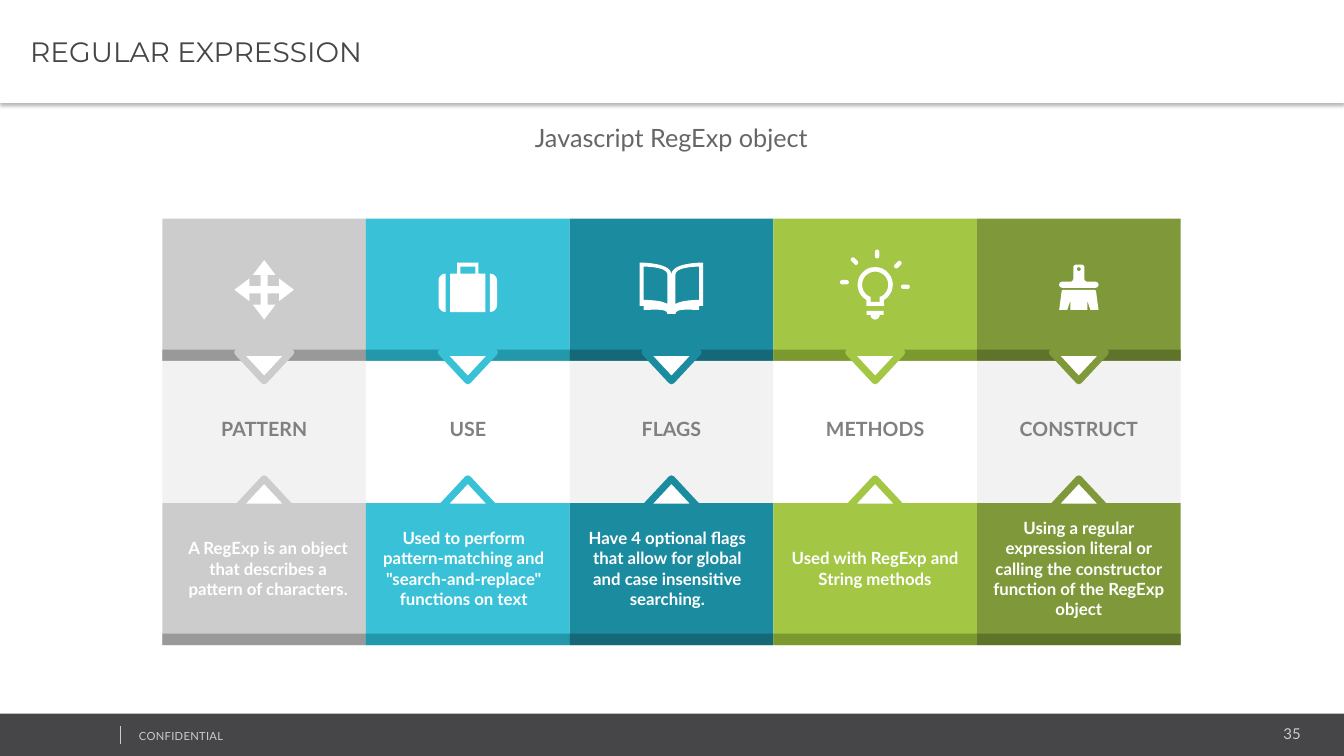
import math
from dataclasses import dataclass
from typing import NamedTuple

import pptx
import pptx.dml.color
import pptx.enum.shapes
import pptx.enum.text
import pptx.oxml.ns
import pptx.util
from lxml import etree

Inches, Pt = pptx.util.Inches, pptx.util.Pt
Kind = pptx.enum.shapes.MSO_SHAPE
Align = pptx.enum.text.PP_ALIGN
Middle = pptx.enum.text.MSO_ANCHOR.MIDDLE
qn = pptx.oxml.ns.qn

WIDE, HIGH = 13.33, 7.5
LEFT, TOP, COL, ROW = 1.61, 2.17, 2.02, 1.41
BAND = 0.08  # rows
DOT = 0.01  # inches in one unit of the icon grid


@dataclass(frozen=True)
class Theme:
    body: str = "Lato"
    head: str = "Montserrat"
    dark: str = "464547"
    pale: str = "CCCCCC"
    gray: str = "666666"
    mute: str = "808080"
    mist: str = "F2F2F2"
    white: str = "FFFFFF"
    black: str = "000000"
    steel: str = "999999"
    sky: str = "39C2D7"
    lake: str = "2298AA"
    teal: str = "1B8BA0"
    deep: str = "146878"
    lime: str = "A3C644"
    leaf: str = "7C992F"
    olive: str = "7F993A"
    moss: str = "5F732B"
    title: float = 20
    sub: float = 18
    label: float = 14
    note: float = 12
    page: float = 10.7
    foot: float = 8
    edge: float = 5
    hair: float = 0.25


class Box(NamedTuple):
    x: float
    y: float
    w: float
    h: float


Dots = list[tuple[float, float]]


class Ray(NamedTuple):
    x: float
    y: float
    turn: float


@dataclass(frozen=True)
class Icon:
    forms: tuple[tuple[Dots, ...], ...] = ()
    rays: tuple[Ray, ...] = ()
    cross: float = 0


@dataclass(frozen=True)
class Topic:
    label: str
    note: str
    fill: str
    band: str
    icon: Icon
    shift: float = 0
    span: float = 0.96


def share(x: float, y: float, w: float, h: float) -> Box:
    """Box from percentages of the slide."""
    return Box(x * WIDE / 100, y * HIGH / 100, w * WIDE / 100, h * HIGH / 100)


def cell(col: float, row: float, w: float = 1, h: float = 1) -> Box:
    """Box from columns and rows of the topic grid."""
    return Box(LEFT + col * COL, TOP + row * ROW, w * COL, h * ROW)


def arc(x: float, y: float, r: float, start: int, end: int) -> Dots:
    turns = [math.radians(start + (end - start) * i / 12) for i in range(13)]
    return [(x + r * math.cos(a), y + r * math.sin(a)) for a in turns]


def curve(*ends: tuple[float, float]) -> Dots:
    """Points along a cubic curve given by its four control points."""
    def blend(s: float, axis: int) -> float:
        return sum(math.comb(3, i) * (1 - s) ** (3 - i) * s ** i * p[axis]
                   for i, p in enumerate(ends))
    return [(blend(i / 12, 0), blend(i / 12, 1)) for i in range(13)]


def flip(dots: Dots) -> Dots:
    return [(-x, y) for x, y in reversed(dots)]


def both(half: Dots) -> Dots:
    return half + flip(half)


t = Theme()
deck = pptx.Presentation()
deck.slide_width, deck.slide_height = Inches(WIDE), Inches(HIGH)
slide = deck.slides.add_slide(deck.slide_layouts[6])
shapes = slide.shapes


def tint(color: str) -> pptx.dml.color.RGBColor:
    return pptx.dml.color.RGBColor.from_string(color)


def paint(shape, fill: str, line: str = "") -> None:
    shape.shadow.inherit = False
    shape.fill.solid()
    shape.fill.fore_color.rgb = tint(fill)
    if line:
        shape.line.color.rgb = tint(line)
        shape.line.width = Pt(t.edge)
    else:
        shape.line.fill.background()


def draw(box: Box, fill: str, kind=Kind.RECTANGLE, line: str = "", turn: float = 0):
    shape = shapes.add_shape(kind, *map(Inches, box))
    paint(shape, fill, line)
    shape.rotation = turn
    return shape


def put(shape, text: str, size: float, color: str, align=Align.CENTER,
        bold: bool = False, font: str = t.body):
    frame = shape.text_frame
    frame.word_wrap, frame.vertical_anchor = True, Middle
    para = frame.paragraphs[0]
    para.text, para.alignment = text, align
    para.font.name, para.font.size, para.font.bold = font, Pt(size), bold
    para.font.color.rgb = tint(color)
    return para


def write(box: Box, *args, **more):
    return put(shapes.add_textbox(*map(Inches, box)), *args, **more)


def trace(loops: tuple[Dots, ...], x: float, y: float) -> None:
    """Draw one outline, with its holes, around the point x, y."""
    fine = [[(a * 10, b * 10) for a, b in loop] for loop in loops]
    pen = shapes.build_freeform(*fine[0][0], scale=Inches(DOT) / 10)
    for i, loop in enumerate(fine):
        if i:
            pen.move_to(*loop[0])
        pen.add_line_segments(loop[1:], close=True)
    paint(pen.convert_to_shape(Inches(x), Inches(y)), t.white)


def stamp(icon: Icon, x: float, y: float) -> None:
    def spot(a: float, b: float, w: float, h: float) -> Box:
        return Box(x + (a - w / 2) * DOT, y + (b - h / 2) * DOT, w * DOT, h * DOT)

    for loops in icon.forms:
        trace(loops, x, y)
    for ray in icon.rays:
        pill = draw(spot(ray.x, ray.y, 4.4, 8.8), t.white, Kind.ROUNDED_RECTANGLE, turn=ray.turn)
        pill.adjustments[0] = 0.5
    if icon.cross:
        star = draw(spot(0, 0, icon.cross, icon.cross), t.white, Kind.QUAD_ARROW)
        for i, ratio in enumerate((0.12, 0.19, 0.25)):
            star.adjustments[i] = ratio


def column(col: int, topic: Topic) -> None:
    for row, fill in enumerate((topic.fill, t.white if col % 2 else t.mist, topic.fill)):
        draw(cell(col, row), fill)
        if row != 1:
            draw(cell(col, row + 1 - BAND, h=BAND), topic.band)
    for row, turn in ((0.94, 180), (1.83, 0)):
        draw(cell(col + 0.37, row, 0.26, 0.2), t.white, Kind.ISOSCELES_TRIANGLE, topic.fill, turn)
    write(cell(col, 1.34, h=0.28), topic.label, t.label, t.mute, bold=True)
    side = (1 - topic.span) / 2 + topic.shift
    write(cell(col + side, 2.06, topic.span, 0.8), topic.note, t.note, t.white, bold=True)
    tile = cell(col + 0.5, 0.5)
    stamp(topic.icon, tile.x, tile.y)


strap = [(-22, 22)] + arc(-22, 15, 7, 90, 180) + arc(-22, -9, 7, 180, 270)
case = both([(-10.5, -27), (-10.5, -16), (-17.5, -16), (-17.5, 22)])
grip = both([(-7.5, -23), (-7.5, -16)])
cover = both(curve((0, -15), (0, -25), (-21, -27), (-31.5, -27)) + [(-31.5, 16), (-27.5, 16)]
             + curve((-27.5, 20), (-19, 20), (-4, 18), (-4, 24)))
leaf = (curve((-4, 14), (-9, 11), (-20, 10), (-27.5, 10))
        + curve((-27.5, -23), (-21, -23), (-4, -22), (-4, -15)))
glass = both(arc(0, -5, 17.5, 270, 120) + [(-8.75, 16)])
glow = both(arc(0, -5, 13, 270, 118) + [(-4.5, 7), (-4.5, 12)])
cap = both([(-8.5, 21), (-8.5, 25)] + arc(0, 25, 4.5, 180, 90))
shaft = both(arc(-2.5, -22, 3, 270, 180) + arc(-8.5, -11, 3, 0, 90) + arc(-16.5, -5, 3, 270, 90))
hair = both([(-15.5, 0), (-17, 1), (-19.5, 20), (-11.5, 20), (-8.5, 11), (-8.5, 20)])

rays = (Ray(-20.5, -28.5, -45), Ray(-30.5, -7.5, 90), Ray(30, -3, 90),
        Ray(22.5, -25, 45), Ray(2, -35.5, 0))
topics = (
    Topic("PATTERN", "A RegExp is an object that describes a pattern of characters.",
          t.pale, t.steel, Icon(cross=59), 0.02),
    Topic("USE", 'Used to perform pattern-matching and "search-and-replace" functions on text',
          t.sky, t.lake, Icon(((strap,), (case, grip), (flip(strap),))), -0.02, 1),
    Topic("FLAGS", "Have 4 optional flags that allow for global and case insensitive searching.",
          t.teal, t.deep, Icon(((cover, leaf, flip(leaf)),)), -0.02),
    Topic("METHODS", "Used with RegExp and String methods",
          t.lime, t.leaf, Icon(((glass, glow), (cap,)), rays)),
    Topic("CONSTRUCT", "Using a regular expression literal or calling the constructor function "
          "of the RegExp object", t.olive, t.moss,
          Icon(((shaft, arc(0, -20.5, 2, 0, 360)), (hair,)))),
)


def footer() -> None:
    draw(share(0, 94.4, 100, 5.6), t.dark)
    write(share(81.17, 95.2, 16.35, 3.73), "35", t.page, t.pale, Align.RIGHT)
    mark = write(share(9.6, 95.73, 25.35, 3.2), "CONFIDENTIAL", t.foot, t.pale, Align.LEFT)
    mark.runs[0].font._element.set("spc", "20")
    rule = share(8.93, 96, 0, 2.4)
    line = shapes.add_connector(pptx.enum.shapes.MSO_CONNECTOR.STRAIGHT, Inches(rule.x),
                                Inches(rule.y), Inches(rule.x), Inches(rule.y + rule.h))
    line.line.color.rgb, line.line.width = tint(t.pale), Pt(t.hair)
    etree.SubElement(line._element.spPr, qn("a:effectLst"))


def header() -> None:
    bar = draw(share(0, 0, 100, 13.6), t.white)
    put(bar, "REGULAR EXPRESSION", t.title, t.dark, Align.LEFT, font=t.head)
    bar.text_frame.margin_left = Inches(0.3)
    shade = etree.SubElement(bar._element.spPr.find(qn("a:effectLst")), qn("a:outerShdw"),
                             blurRad=str(Pt(3.1)), dist=str(Pt(2)), dir="5400000",
                             algn="t", rotWithShape="0")
    ink = etree.SubElement(shade, qn("a:srgbClr"), val=t.black)
    etree.SubElement(ink, qn("a:alpha"), val="30000")


def main() -> None:
    footer()
    write(share(30, 15.47, 39.9, 5.33), "Javascript RegExp object", t.sub, t.gray)
    for col, topic in enumerate(topics):
        column(col, topic)
    header()
    deck.save("out.pptx")


if __name__ == "__main__":
    main()
